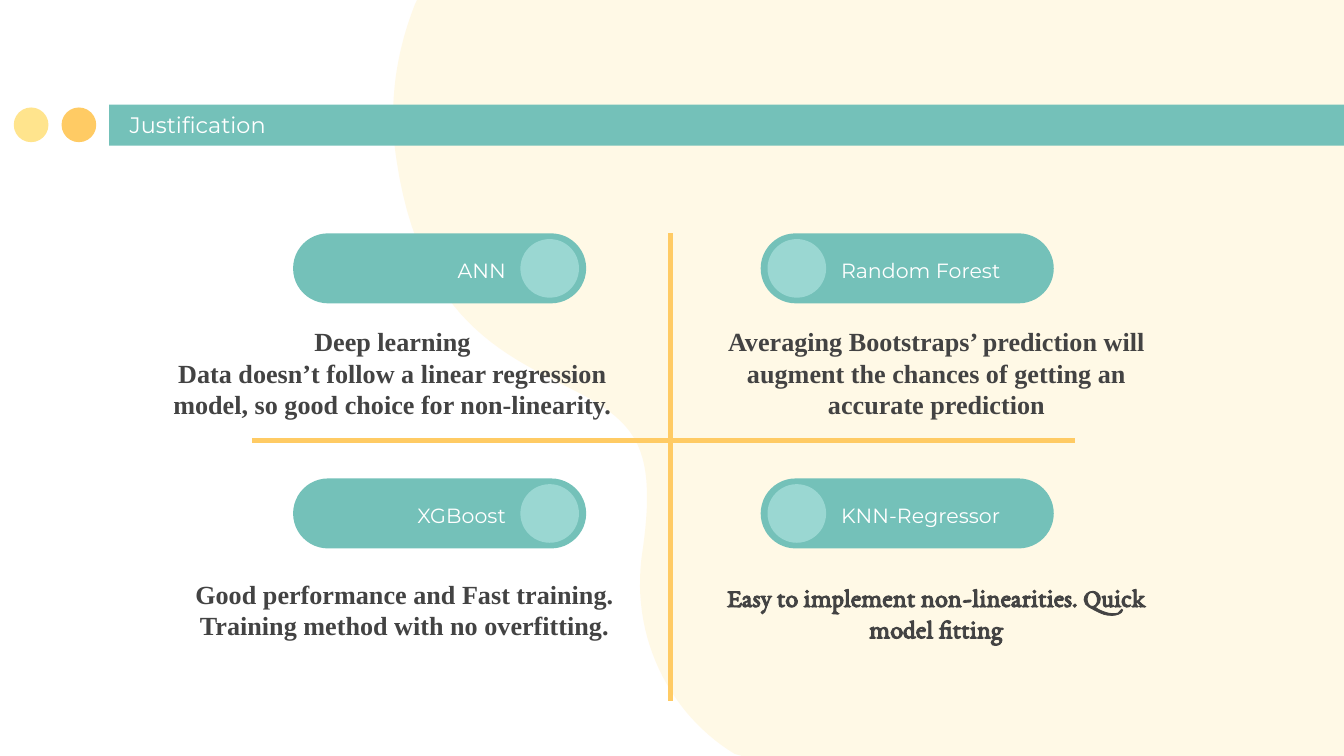
from lxml.etree import SubElement
from pptx import Presentation
from pptx.dml.color import RGBColor
from pptx.enum.shapes import MSO_CONNECTOR, MSO_SHAPE
from pptx.enum.text import MSO_ANCHOR, MSO_AUTO_SIZE, PP_ALIGN
from pptx.oxml.ns import qn
from pptx.util import Pt

WIDE, HIGH = 720, 405
TEAL, MINT, GOLD, CREAM = "74C1B9", "9AD7D2", "FFCB64", "FFE48D"
WHITE, GRAY = "FFFFFF", "434343"
SANS, SERIF, BOOK = "Montserrat", "Times New Roman", "EB Garamond"
START = (236, -25)
CURVES = [
    ((217, 6), (206, 45), (212.4, 85.7)),
    ((231.8, 217.4), (329.8, 191.5), (344.2, 245.5)),
    ((347.8, 258.5), (347, 275.8), (344.2, 295.2)),
    ((334, 360), (382.3, 418.3), (445, 418.3)),
]


def color(code):
    return RGBColor.from_string(code)


def paint(shape, code):
    shape.fill.solid()
    shape.fill.fore_color.rgb = color(code)
    shape.line.fill.background()
    shape.shadow.inherit = False


def add_form(slide, kind, box, code):
    shape = slide.shapes.add_shape(kind, *map(Pt, box))
    paint(shape, code)
    return shape


def bend(a, b, c, d, t):
    s = 1 - t
    return [s**3 * p + 3 * s * s * t * q + 3 * s * t * t * r + t**3 * u
            for p, q, r, u in zip(a, b, c, d)]


def add_blob(slide, steps=40):
    dots, last = [START], START
    for b, c, d in CURVES:
        dots += [bend(last, b, c, d, n / steps) for n in range(1, steps + 1)]
        last = d
    dots += [(WIDE, HIGH), (WIDE, 0)]
    dots = [(Pt(x), Pt(min(max(y, 0), HIGH))) for x, y in dots]
    form = slide.shapes.build_freeform(*dots[0])
    form.add_line_segments(dots[1:], close=True)
    blob = form.convert_to_shape()
    paint(blob, CREAM)
    tint = blob.element.spPr.find(".//" + qn("a:srgbClr"))
    SubElement(tint, qn("a:alpha"), val="21000")


def write(frame, lines, face, size, code, align, bold=False):
    frame.word_wrap = True
    frame.auto_size = MSO_AUTO_SIZE.NONE
    frame.text = "\n".join(lines)
    for para in frame.paragraphs:
        para.alignment = align
        font = para.font
        font.name, font.size, font.bold = face, Pt(size), bold
        font.color.rgb = color(code)


def pad(frame, side, top, base):
    frame.margin_left = frame.margin_right = Pt(side)
    frame.margin_top, frame.margin_bottom = Pt(top), Pt(base)


def add_head(slide, text):
    bar = add_form(slide, MSO_SHAPE.RECTANGLE, (58.5, 56, 661.5, 22), TEAL)
    for left, code in ((33, GOLD), (7.4, CREAM)):
        add_form(slide, MSO_SHAPE.OVAL, (left, 57.6, 18.6, 18.6), code)
    title = slide.shapes.title
    title.left, title.top, title.width, title.height = map(
        Pt, (62.3, 56.7, 394.5, 24.5))
    frame = title.text_frame
    pad(frame, 7.2, 7.2, 7.2)
    frame.vertical_anchor = MSO_ANCHOR.BOTTOM
    write(frame, [text], SANS, 12, WHITE, PP_ALIGN.LEFT)
    bar.element.getparent().append(title.element)


def add_pill(slide, text, top, right):
    left = 407.5 if right else 157
    pill = add_form(slide, MSO_SHAPE.ROUNDED_RECTANGLE,
                    (left, top, 157, 37.5), TEAL)
    pill.adjustments[0] = 0.5
    knob = left + (3.7 if right else 121.8)
    add_form(slide, MSO_SHAPE.OVAL, (knob, top + 3.1, 31.4, 31.4), MINT)
    start, align = (443.5, PP_ALIGN.LEFT) if right else (153.7, PP_ALIGN.RIGHT)
    label = slide.shapes.add_textbox(*map(Pt, (start, top + 6.2, 124.5, 24.5)))
    pad(label.text_frame, 7.2, 7.2, 7.2)
    write(label.text_frame, [text], SANS, 11, WHITE, align)


def add_note(slide, lines, box, face):
    note = slide.shapes.add_textbox(*map(Pt, box))
    pad(note.text_frame, 0, 0.9, 0)
    write(note.text_frame, lines, face, 14, GRAY, PP_ALIGN.CENTER, True)


def add_rule(slide, *ends):
    rule = slide.shapes.add_connector(MSO_CONNECTOR.STRAIGHT, *map(Pt, ends))
    rule.line.color.rgb = color(GOLD)
    rule.line.width = Pt(3)
    SubElement(rule.element.spPr, qn("a:effectLst"))


def main():
    deck = Presentation()
    deck.slide_width, deck.slide_height = Pt(WIDE), Pt(HIGH)
    slide = deck.slides.add_slide(deck.slide_layouts[5])
    add_blob(slide)
    add_head(slide, "Justification")
    cells = [
        ("ANN", 125, False, (87.2, 173.5, 246.2, 49.7), SERIF,
         ["Deep learning", "Data doesn’t follow a linear regression model, "
          "so good choice for non-linearity."]),
        ("Random Forest", 125, True, (388, 173.5, 227.5, 44.6), SERIF,
         ["Averaging Bootstraps’ prediction will augment the chances "
          "of getting an accurate prediction"]),
        ("XGBoost", 256.3, False, (103, 309, 227.5, 44.6), SERIF,
         ["Good performance and Fast training. "
          "Training method with no overfitting."]),
        ("KNN-Regressor", 256.3, True, (388, 310.3, 227.5, 44.6), BOOK,
         ["Easy to implement non-linearities. Quick model fitting"]),
    ]
    for name, top, right, box, face, lines in cells:
        add_pill(slide, name, top, right)
        add_note(slide, lines, box, face)
    add_rule(slide, 135, 236, 576, 236)
    add_rule(slide, 359.3, 125, 359.3, 375.5)
    deck.save("out.pptx")


if __name__ == "__main__":
    main()
